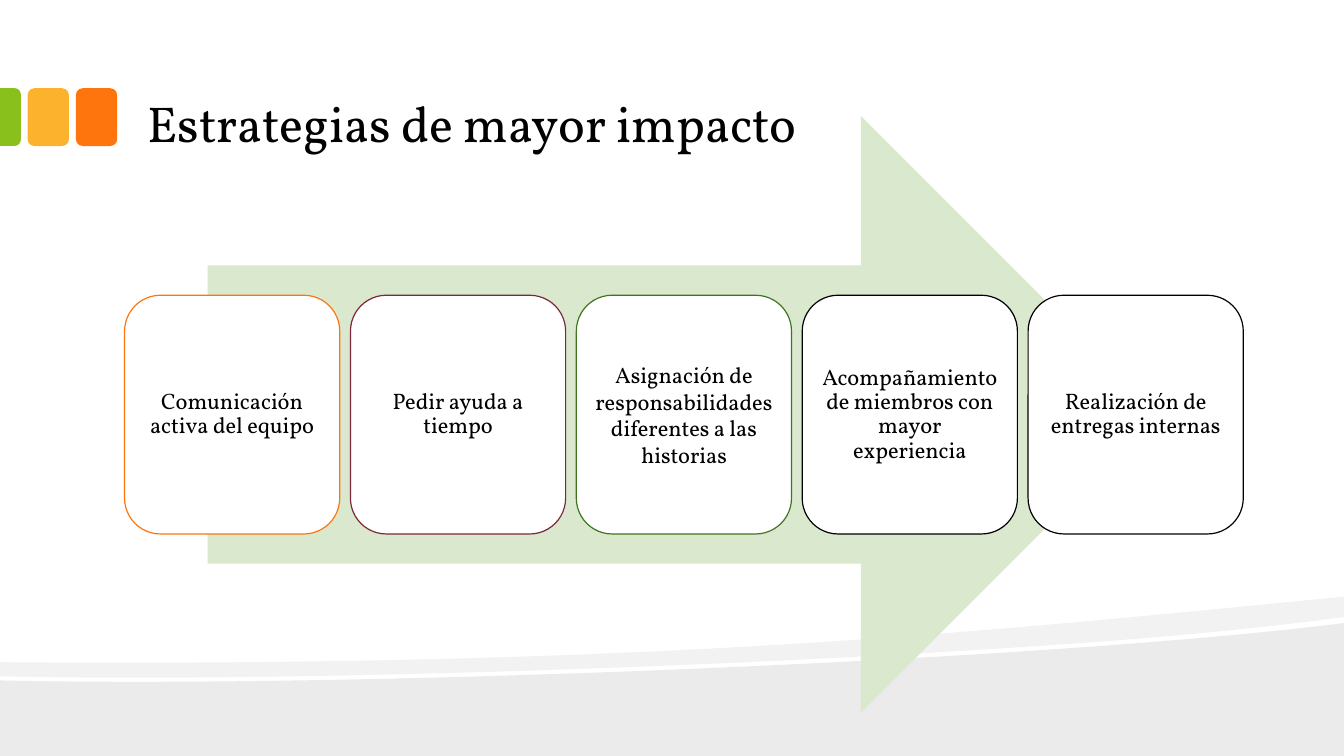
from lxml.etree import SubElement
from pptx import Presentation
from pptx.dml.color import RGBColor
from pptx.enum.shapes import MSO_SHAPE
from pptx.enum.text import MSO_ANCHOR, PP_ALIGN
from pptx.oxml.ns import qn
from pptx.util import Pt

COLORS = {
    "black": "000000", "white": "FFFFFF", "orange": "FE750E", "amber": "FCB22C",
    "lime": "89C01C", "pale_green": "DAE8CD", "wine": "7C283A", "green": "3E7520",
}

deck = Presentation()
deck.slide_width, deck.slide_height = Pt(960), Pt(540)
slide = deck.slides.add_slide(deck.slide_layouts[6])


def add_solid(kind, left, top, width, height, color):
    shape = slide.shapes.add_shape(kind, Pt(left), Pt(top), Pt(width), Pt(height))
    shape.shadow.inherit = False
    shape.fill.solid()
    shape.fill.fore_color.rgb = RGBColor.from_string(COLORS[color])
    shape.line.fill.background()
    return shape


def add_text(paragraph, text, size):
    run = paragraph.add_run()
    run.text = text
    run.font.name = "Vollkorn"
    run.font.size = Pt(size)
    run.font.color.rgb = RGBColor.from_string(COLORS["black"])


ground = [
    (960, 445), (960, 540), (0, 540), (0, 486),
    (253.4, 491.8), (750.2, 471.6), (960, 445),
]
ribbon = [
    (960, 426.2), (960, 440.6),
    (903.6, 448.6), (827.3, 455.8), (740.9, 461.5),
    (502.6, 477.4), (185.8, 487.4), (0, 483.1), (0, 473),
    (469.4, 476.6), (699.1, 451.4), (960, 426.2),
]
for outline, curve_starts, opacity in ((ground, (3,), 8), (ribbon, (1, 4, 8), 5)):
    points = [(Pt(x), Pt(y)) for x, y in outline]
    builder = slide.shapes.build_freeform(*points[0], scale=1.0)
    builder.add_line_segments(points[1:], close=True)
    wave = builder.convert_to_shape()
    wave.shadow.inherit = False
    wave.line.fill.background()
    wave.fill.solid()
    wave.fill.fore_color.rgb = RGBColor.from_string(COLORS["black"])
    tint = wave._element.spPr.find(".//" + qn("a:srgbClr"))
    SubElement(tint, qn("a:alpha"), val=str(opacity * 1000))
    segments = wave._element.spPr.findall(".//" + qn("a:lnTo"))
    for start in curve_starts:
        first, *others = segments[start:start + 3]
        bezier = SubElement(first.getparent(), qn("a:cubicBezTo"))
        first.addprevious(bezier)
        for segment in (first, *others):
            bezier.append(segment[0])
            segment.getparent().remove(segment)

for left, color in ((54.2, "orange"), (19.7, "amber")):
    add_solid(MSO_SHAPE.ROUNDED_RECTANGLE, left, 63, 29.5, 41.3, color)
edge_tab = add_solid(MSO_SHAPE.ROUND_2_SAME_RECTANGLE, -13.2, 76.2, 41.3, 14.8, "lime")
edge_tab.rotation = 90
edge_tab.adjustments[0] = 0.292
edge_tab.adjustments[1] = 0

title = slide.shapes.add_textbox(Pt(95.8), Pt(11.8), Pt(767.5), Pt(102.2))
title_frame = title.text_frame
title_frame.word_wrap = True
title_frame.vertical_anchor = MSO_ANCHOR.BOTTOM
title_frame.margin_left = title_frame.margin_right = Pt(9.4)
title_frame.margin_top = title_frame.margin_bottom = Pt(5)
add_text(title_frame.paragraphs[0], "Estrategias de mayor impacto", 36)

add_solid(MSO_SHAPE.RIGHT_ARROW, 148.4, 82.9, 679.7, 426.3, "pale_green")

strategies = [
    ("Comunicación activa del equipo", "orange", 0.9),
    ("Pedir ayuda a tiempo", "wine", 0.9),
    ("Asignación de responsabilidades diferentes a las historias", "green", None),
    ("Acompañamiento de miembros con mayor experiencia", "black", 0.9),
    ("Realización de entregas internas", "black", 0.9),
]
for index, (strategy, border, spacing) in enumerate(strategies):
    card_left = 89 + 161.35 * index
    card = add_solid(MSO_SHAPE.ROUNDED_RECTANGLE, card_left, 210.9, 153.7, 170.5, "white")
    card.line.color.rgb = RGBColor.from_string(COLORS[border])
    card.line.width = Pt(0.85)
    label = slide.shapes.add_textbox(Pt(card_left + 7.5), Pt(218.4), Pt(138.7), Pt(155.5))
    frame = label.text_frame
    frame.word_wrap = True
    frame.vertical_anchor = MSO_ANCHOR.MIDDLE
    frame.margin_left = frame.margin_right = frame.margin_top = frame.margin_bottom = Pt(4.8)
    paragraph = frame.paragraphs[0]
    paragraph.alignment = PP_ALIGN.CENTER
    paragraph.line_spacing = spacing
    add_text(paragraph, strategy, 16)

deck.save("out.pptx")
